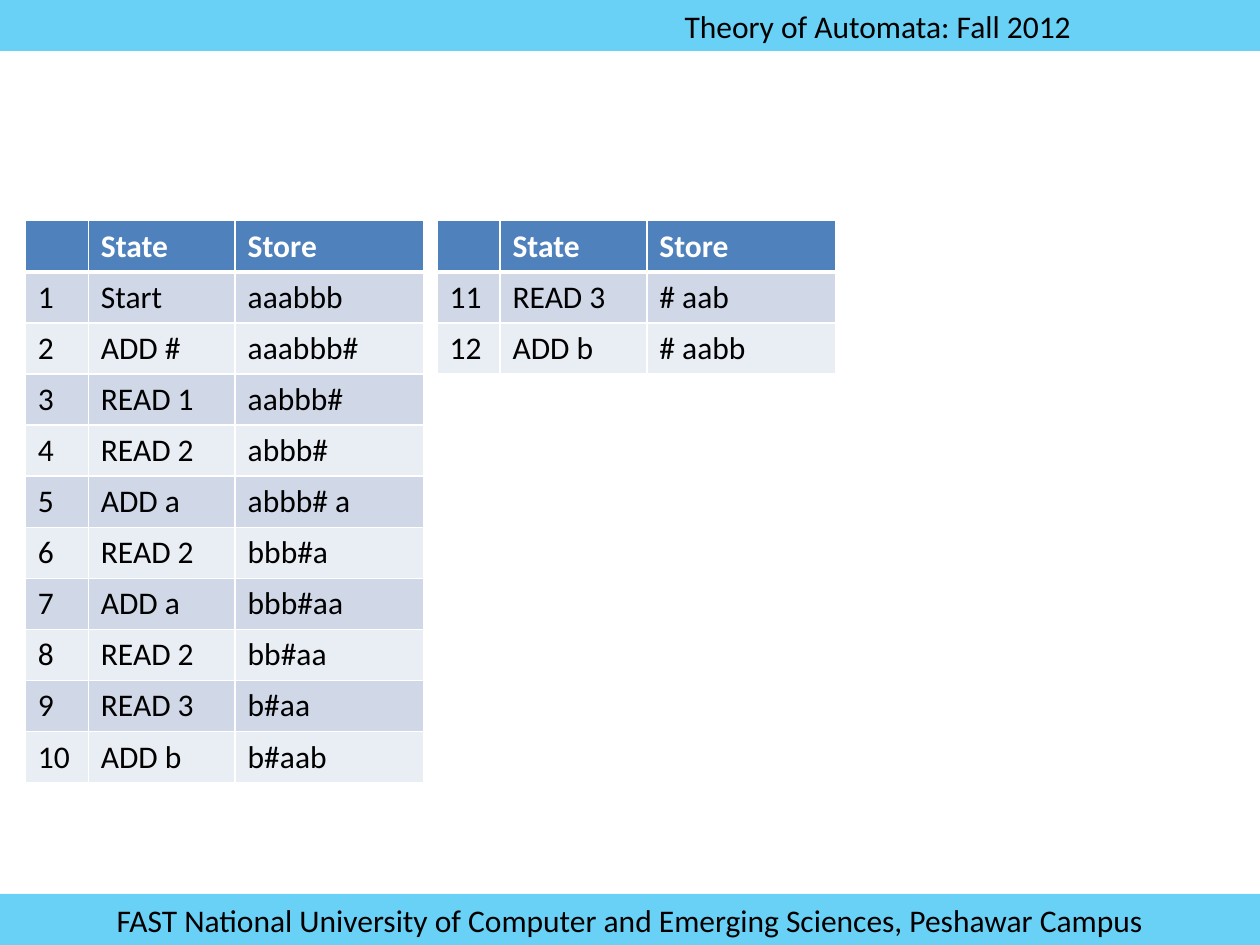
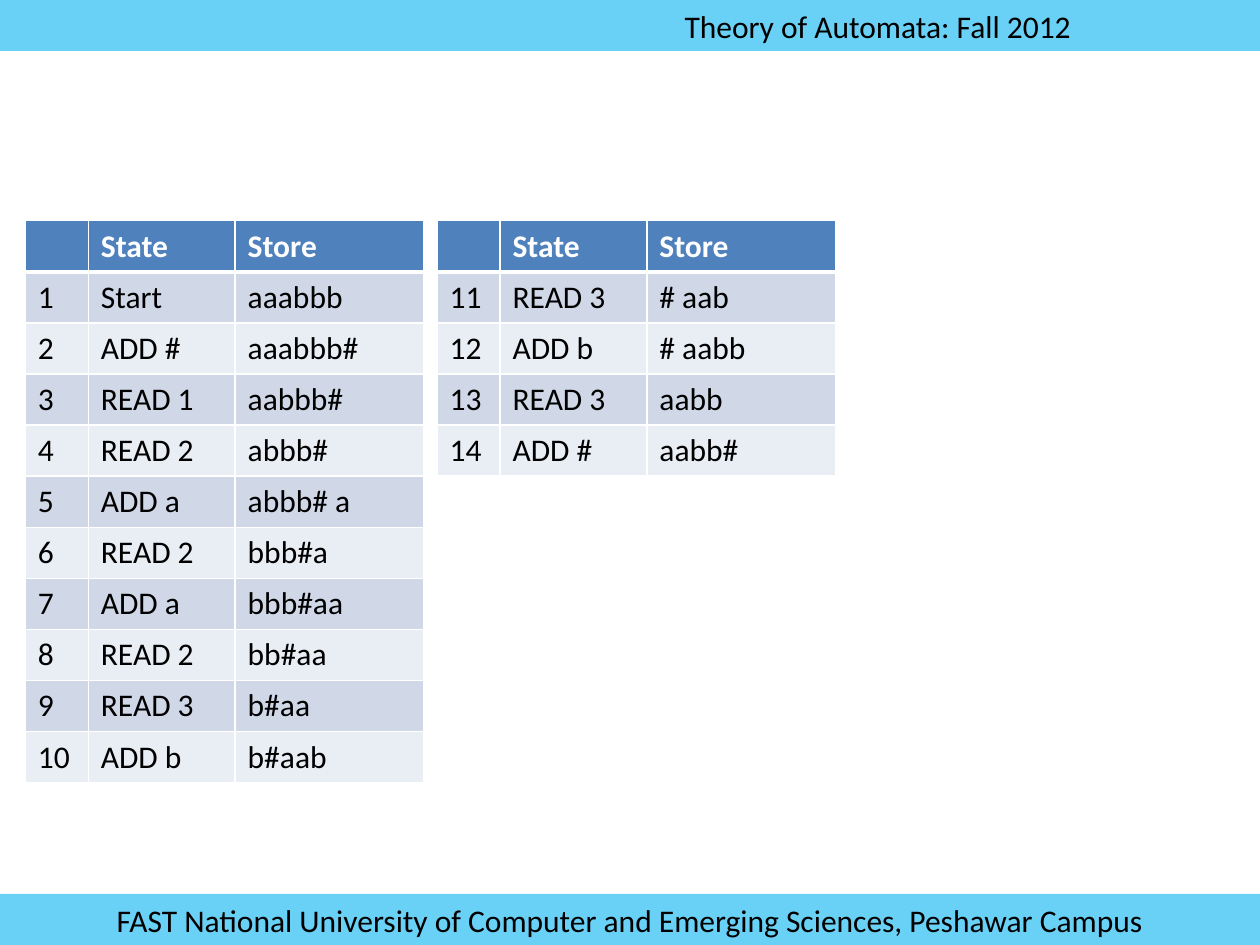
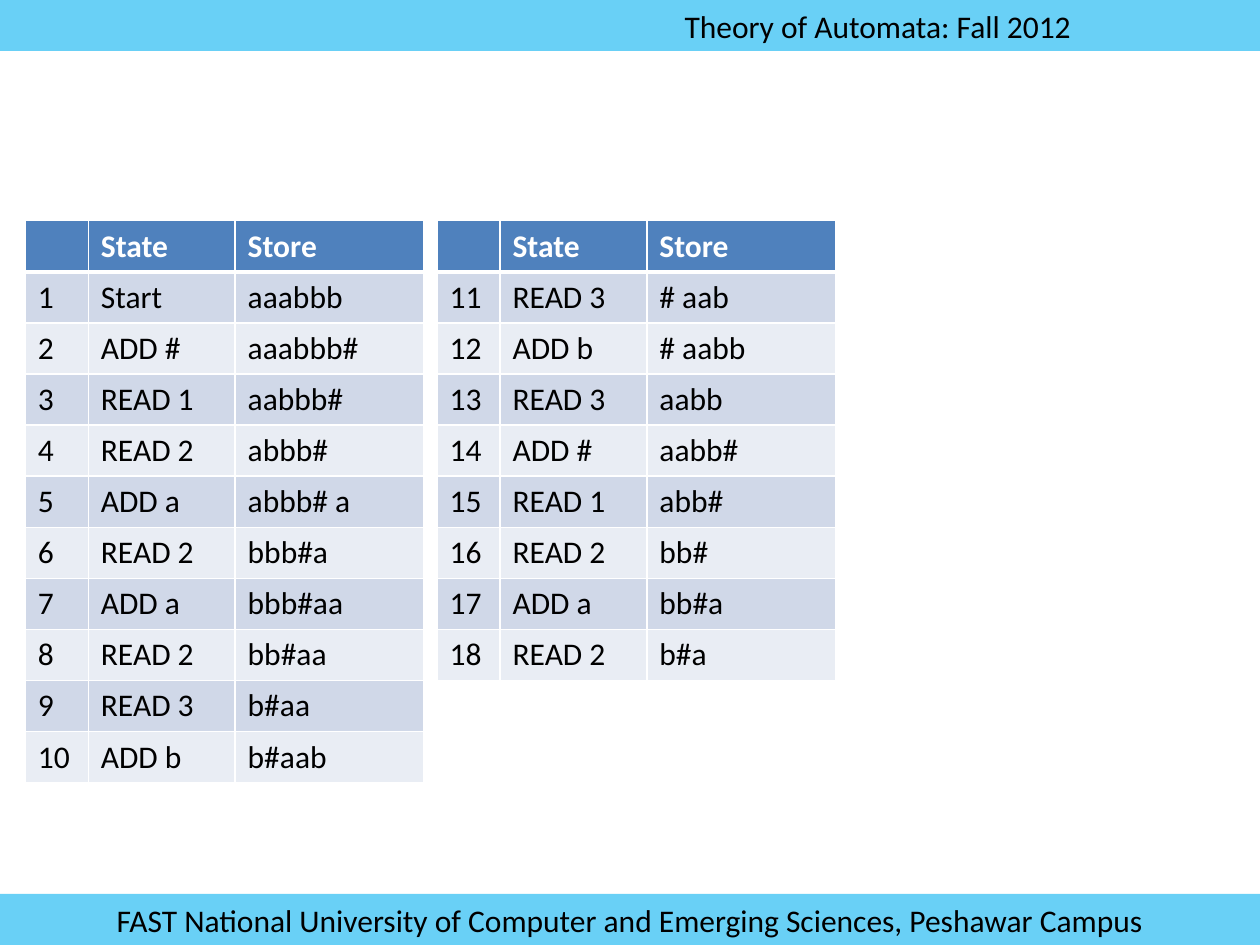
from lxml import etree
from pptx import Presentation
from pptx import util as u
from pptx.dml.color import RGBColor
from pptx.enum import shapes, text
from pptx.oxml import ns

HEADER = "Theory of Automata: Fall 2012"
FOOTER = "FAST National University of Computer and Emerging Sciences, Peshawar Campus"
COLUMNS = ["", "State", "Store"]
STEPS = [
    ("Start", "aaabbb"),
    ("ADD #", "aaabbb#"),
    ("READ 1", "aabbb#"),
    ("READ 2", "abbb#"),
    ("ADD a", "abbb# a"),
    ("READ 2", "bbb#a"),
    ("ADD a", "bbb#aa"),
    ("READ 2", "bb#aa"),
    ("READ 3", "b#aa"),
    ("ADD b", "b#aab"),
    ("READ 3", "# aab"),
    ("ADD b", "# aabb"),
    ("READ 3", "aabb"),
    ("ADD #", "aabb#"),
    ("READ 1", "abb#"),
    ("READ 2", "bb#"),
    ("ADD a", "bb#a"),
    ("READ 2", "b#a"),
]
STEPS_SHOWN = [12, 14, 18]  # last step traced on each slide
STEPS_PER_TABLE = 10

COLORS = {
    "band": "00B0F0",
    "head": "4F81BD",
    "odd": "D0D8E8",
    "even": "E9EDF4",
    "text": "000000",
    "white": "FFFFFF",
}
FONT = "Calibri"
BAND_OPACITY = 59

SLIDE_W, SLIDE_H = 25.4, 19.05
BAND_H = 1.03
HEADER_INDENT = 13.8
TABLE_LEFT, TABLE_TOP, TABLE_GAP = 0.51, 4.45, 0.26
COL_WIDTHS = [1.27, 2.96, 3.81]
ROW_H = 1.03


def rgb(name):
    return RGBColor.from_string(COLORS[name])


def write(tf, content, color="text", bold=False, align=text.PP_ALIGN.LEFT):
    p = tf.paragraphs[0]
    p.alignment = align
    r = p.add_run()
    r.text = content
    r.font.name = FONT
    r.font.size = u.Pt(18)
    r.font.bold = bold
    r.font.color.rgb = rgb(color)


def add_band(s, top, content, indent=0.25, align=text.PP_ALIGN.LEFT):
    sp = s.shapes.add_shape(shapes.MSO_SHAPE.RECTANGLE, 0, u.Cm(top),
                            u.Cm(SLIDE_W), u.Cm(BAND_H))
    sp.shadow.inherit = False
    sp.line.fill.background()
    sp.fill.solid()
    sp.fill.fore_color.rgb = rgb("band")
    color = sp.fill._xPr.find(".//" + ns.qn("a:srgbClr"))
    etree.SubElement(color, ns.qn("a:alpha"), val=str(BAND_OPACITY * 1000))
    tf = sp.text_frame
    tf.word_wrap = True
    tf.margin_left = u.Cm(indent)
    write(tf, content, align=align)


def set_borders(cell, **widths):
    """Draw white cell borders; widths in points, keyed L, R, T, B."""
    tc_pr = cell._tc.get_or_add_tcPr()
    for side, width in widths.items():
        ln = etree.SubElement(tc_pr, ns.qn("a:ln" + side), w=str(u.Pt(width)))
        fill = etree.SubElement(ln, ns.qn("a:solidFill"))
        etree.SubElement(fill, ns.qn("a:srgbClr"), val=COLORS["white"])


def add_trace_table(s, left, rows):
    grid = [COLUMNS] + rows
    table = s.shapes.add_table(len(grid), len(COLUMNS), u.Cm(left), u.Cm(TABLE_TOP),
                               u.Cm(sum(COL_WIDTHS)), u.Cm(ROW_H * len(grid))).table
    for column, width in zip(table.columns, COL_WIDTHS):
        column.width = u.Cm(width)
    for i, values in enumerate(grid):
        table.rows[i].height = u.Cm(ROW_H)
        is_head = i == 0
        fill = "head" if is_head else "odd" if i % 2 else "even"
        for j, value in enumerate(values):
            cell = table.cell(i, j)
            set_borders(cell, L=1, R=1, T=3 if i == 1 else 1, B=3 if is_head else 1)
            cell.fill.solid()
            cell.fill.fore_color.rgb = rgb(fill)
            if value:
                write(cell.text_frame, value, bold=is_head,
                      color="white" if is_head else "text")


def add_trace_slide(prs, shown):
    s = prs.slides.add_slide(prs.slide_layouts[6])
    add_band(s, 0, HEADER, indent=HEADER_INDENT)
    add_band(s, SLIDE_H - BAND_H, FOOTER, align=text.PP_ALIGN.CENTER)
    rows = [(str(n), *step) for n, step in enumerate(STEPS[:shown], 1)]
    for k, start in enumerate(range(0, shown, STEPS_PER_TABLE)):
        left = TABLE_LEFT + k * (sum(COL_WIDTHS) + TABLE_GAP)
        add_trace_table(s, left, rows[start:start + STEPS_PER_TABLE])


def main():
    prs = Presentation()
    prs.slide_width, prs.slide_height = u.Cm(SLIDE_W), u.Cm(SLIDE_H)
    for shown in STEPS_SHOWN:
        add_trace_slide(prs, shown)
    prs.save("out.pptx")


if __name__ == "__main__":
    main()
